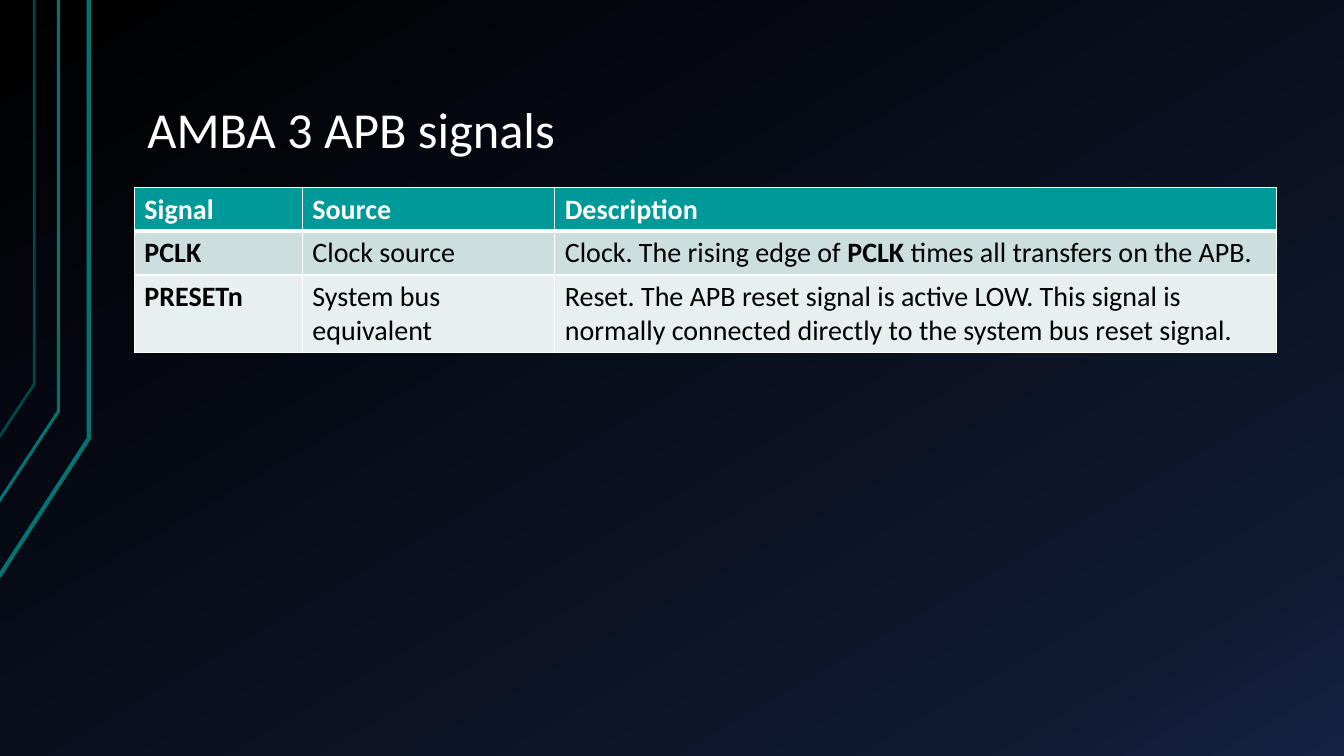
from dataclasses import dataclass

from lxml.etree import SubElement
from pptx import Presentation
from pptx.dml.color import RGBColor
from pptx.enum.text import MSO_ANCHOR
from pptx.oxml import parse_xml
from pptx.oxml.ns import nsdecls, qn
from pptx.util import Inches, Pt


@dataclass(frozen=True)
class Theme:
    font: str = "Calibri"
    title_size: float = 36
    table_size: float = 20
    light: str = "FFFFFF"
    dark: str = "000000"
    accent: str = "007373"
    header_fill: str = "009999"
    row_fills: tuple = ("CCDEDE", "E7EFEF")
    backdrop: tuple = ((0, "000000"), (85, "0F1931"), (100, "142242"))
    backdrop_angle: int = 60
    thin_border: float = 1
    header_border: float = 3


THEME = Theme()
SLIDE_WIDTH, SLIDE_HEIGHT = Inches(13.333), Inches(7.5)

# Vertical x, bend y, left end x and y (inches), line width (points), opacity (%)
ACCENT_LINES = (
    (0.88, 4.35, -0.01, 5.72, 3, 100),
    (0.58, 4.08, -0.02, 4.99, 2.25, 100),
    (0.34, 3.81, -0.01, 4.34, 2, 60),
)

COLUMN_SHARES = (0.147, 0.221, 0.632)
ROW_HEIGHT = Inches(0.41)
# Each cell is a list of (text, bold) runs
SIGNAL_ROWS = (
    ([("Signal", True)], [("Source", True)], [("Description", True)]),
    (
        [("PCLK", True)],
        [("Clock source", False)],
        [
            ("Clock. The rising edge of ", False),
            ("PCLK", True),
            (" times all transfers on the APB.", False),
        ],
    ),
    (
        [("PRESETn", True)],
        [("System bus equivalent", False)],
        [("Reset. The APB reset signal is active LOW. This signal is normally "
          "connected directly to the system bus reset signal.", False)],
    ),
)


def region(left, top, width, height):
    """Turn shares of the slide into a box of lengths."""
    return (int(left * SLIDE_WIDTH), int(top * SLIDE_HEIGHT),
            int(width * SLIDE_WIDTH), int(height * SLIDE_HEIGHT))


def apply_format(target, settings):
    for attribute, value in settings.items():
        setattr(target, attribute, value)


def write_run(paragraph, text, size, color, bold=False):
    run = paragraph.add_run()
    run.text = text
    apply_format(run.font, {"name": THEME.font, "size": Pt(size), "bold": bold})
    run.font.color.rgb = RGBColor.from_string(color)


def paint_backdrop(slide):
    fill = slide.background.fill
    fill.gradient()
    # python-pptx counts the angle anticlockwise
    fill.gradient_angle = 360 - THEME.backdrop_angle
    stop_list = slide.background._cSld.find(".//" + qn("a:gsLst"))
    for stop in list(stop_list):
        stop_list.remove(stop)
    for position, color in THEME.backdrop:
        stop = SubElement(stop_list, qn("a:gs"), pos=str(position * 1000))
        SubElement(stop, qn("a:srgbClr"), val=color)


def draw_accent_lines(slide, box):
    left, top = box[:2]
    for x, bend_y, end_x, end_y, width, opacity in ACCENT_LINES:
        points = [(left + Inches(px), top + Inches(py))
                  for px, py in ((end_x, end_y), (x, bend_y), (x, 0))]
        builder = slide.shapes.build_freeform(*points[0])
        builder.add_line_segments(points[1:], close=False)
        accent = builder.convert_to_shape()
        accent.shadow.inherit = False
        accent.fill.background()
        accent.line.width = Pt(width)
        accent.line.color.rgb = RGBColor.from_string(THEME.accent)
        if opacity < 100:
            color = accent.line._ln.find(".//" + qn("a:srgbClr"))
            SubElement(color, qn("a:alpha"), val=str(opacity * 1000))


def add_title(slide, box, text):
    frame = slide.shapes.add_textbox(*box).text_frame
    apply_format(frame, {
        "word_wrap": True,
        "vertical_anchor": MSO_ANCHOR.BOTTOM,
        "margin_left": Inches(0.13),
        "margin_right": Inches(0.13),
        "margin_top": Inches(0.07),
        "margin_bottom": Inches(0.07),
    })
    frame.paragraphs[0].line_spacing = 0.9
    write_run(frame.paragraphs[0], text, THEME.title_size, THEME.light)


def set_borders(cell, top, bottom):
    widths = {"lnL": THEME.thin_border, "lnR": THEME.thin_border,
              "lnT": top, "lnB": bottom}
    properties = cell._tc.get_or_add_tcPr()
    for order, (side, width) in enumerate(widths.items()):
        properties.insert(order, parse_xml(
            f'<a:{side} {nsdecls("a")} w="{Pt(width)}"><a:solidFill>'
            f'<a:srgbClr val="{THEME.light}"/></a:solidFill></a:{side}>'))


def add_signal_table(slide, box):
    left, top, width, _ = box
    row_count = len(SIGNAL_ROWS)
    table = slide.shapes.add_table(row_count, len(COLUMN_SHARES), left, top,
                                   width, ROW_HEIGHT * row_count).table
    table.horz_banding = False
    for column, share in zip(table.columns, COLUMN_SHARES):
        column.width = int(width * share)

    fills = (THEME.header_fill, *THEME.row_fills)
    for row_index, (signal, fill) in enumerate(zip(SIGNAL_ROWS, fills)):
        color = THEME.light if row_index == 0 else THEME.dark
        top_border = THEME.header_border if row_index == 1 else THEME.thin_border
        bottom_border = THEME.header_border if row_index == 0 else THEME.thin_border
        for cell, runs in zip(table.rows[row_index].cells, signal):
            cell.fill.solid()
            cell.fill.fore_color.rgb = RGBColor.from_string(fill)
            set_borders(cell, top_border, bottom_border)
            for text, bold in runs:
                write_run(cell.text_frame.paragraphs[0], text,
                          THEME.table_size, color, bold)


def main():
    deck = Presentation()
    apply_format(deck, {"slide_width": SLIDE_WIDTH, "slide_height": SLIDE_HEIGHT})
    slide = deck.slides.add_slide(deck.slide_layouts[6])
    paint_backdrop(slide)
    draw_accent_lines(slide, region(0, 0, 0.07, 0.76))
    add_title(slide, region(0.1, 0.04, 0.85, 0.18), "AMBA 3 APB signals")
    add_signal_table(slide, region(0.1, 0.248, 0.85, 0.22))
    deck.save("out.pptx")


if __name__ == "__main__":
    main()
